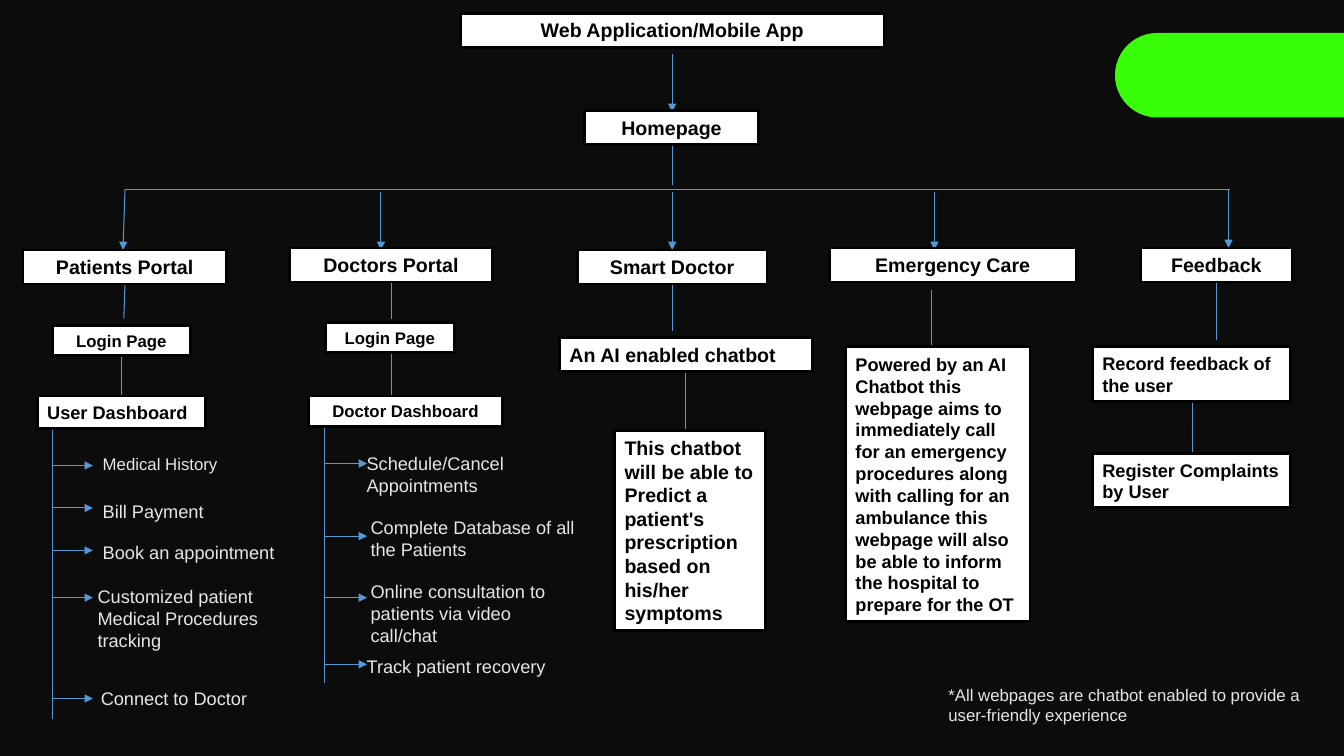
from itertools import pairwise
from typing import NamedTuple

from lxml.etree import SubElement
from pptx import Presentation
from pptx.dml.color import RGBColor
from pptx.enum.shapes import MSO_CONNECTOR as Connector, MSO_SHAPE as Shape
from pptx.enum.text import MSO_ANCHOR as Anchor, PP_ALIGN as Align
from pptx.oxml.ns import qn
from pptx.util import Cm, Pt

BACKGROUND = RGBColor(0x0C, 0x0C, 0x0C)
WHITE = RGBColor(0xFF, 0xFF, 0xFF)
BLACK = RGBColor(0x00, 0x00, 0x00)
PALE = RGBColor(0xE7, 0xE6, 0xE6)
BLUE = RGBColor(0x56, 0x98, 0xD3)
GREEN = RGBColor(0x38, 0xFF, 0x09)

CENTRE_X = 16.94
BUS_Y = 4.78
DROP_Y = 4.83


class Box(NamedTuple):
    text: str
    left: float
    top: float
    width: float
    height: float = 0.86
    size: int = 14
    align: Align = Align.CENTER


class Note(NamedTuple):
    text: str
    left: float
    top: float
    width: float
    height: float = 0.81
    size: int = 13
    wrap: bool = False


class Line(NamedTuple):
    x1: float
    y1: float
    x2: float
    y2: float
    arrow: bool = False


class Branch(NamedTuple):
    x: float
    top: float
    bottom: float
    arrow_start: float
    arrow_end: float
    rows: tuple[float, ...]


TITLE = Box("Web Application/Mobile App", 11.61, 0.33, 10.67)

BOXES = [
    Box("Homepage", 14.73, 2.79, 4.39),
    Box("Patients Portal", 0.58, 6.3, 5.13),
    Box("Doctors Portal", 7.29, 6.25, 5.13),
    Box("Smart Doctor", 14.55, 6.3, 4.78),
    Box("Emergency Care", 20.9, 6.25, 6.22),
    Box("Feedback", 28.75, 6.25, 3.81),
    Box("Login Page", 1.32, 8.2, 3.48, 0.76, 12),
    Box("User Dashboard", 0.94, 9.98, 4.24, 0.81, 13, Align.LEFT),
    Box("Login Page", 8.2, 8.13, 3.25, 0.76, 12),
    Box("Doctor Dashboard", 7.77, 9.98, 4.9, 0.76, 12),
    Box("An AI enabled chatbot", 14.1, 8.51, 6.38, align=Align.LEFT),
    Box("This chatbot will be able to Predict a patient's prescription "
        "based on his/her symptoms", 15.49, 10.85, 3.81, 5.03, align=Align.LEFT),
    Box("Powered by an AI Chatbot this webpage aims to immediately call for an "
        "emergency procedures along with calling for an ambulance this webpage "
        "will also be able to inform the hospital to prepare for the OT",
        21.31, 8.74, 4.65, 6.93, 13, Align.LEFT),
    Box("Record feedback of the user", 27.53, 8.74, 5, 1.37, 13, Align.LEFT),
    Box("Register Complaints by User", 27.53, 11.43, 5, 1.37, 13, Align.LEFT),
]

NOTES = [
    Note("Medical History", 2.34, 11.3, 3.66, 0.76, 12),
    Note("Bill Payment", 2.34, 12.47, 3.2),
    Note("Book an appointment", 2.34, 13.51, 5.44),
    Note("Customized patient\nMedical Procedures tracking",
         2.21, 14.63, 4.9, 2.49, wrap=True),
    Note("Connect to Doctor", 2.29, 17.2, 4.78),
    Note("Schedule/Cancel Appointments", 8.99, 11.28, 4.5, 1.37, wrap=True),
    Note("Complete Database of all\nthe Patients", 9.09, 12.88, 6.38, 1.37),
    Note("Online consultation to patients via video call/chat",
         9.09, 14.5, 5.72, 1.93, wrap=True),
    Note("Track patient recovery", 8.99, 16.38, 5.56),
    Note("*All webpages are chatbot enabled to provide a user-friendly experience",
         23.65, 17.12, 9.42, 1.27, 12, True),
]

LINES = [
    Line(CENTRE_X, 1.37, CENTRE_X, 2.82, True),
    Line(CENTRE_X, 3.66, CENTRE_X, 4.67),
    Line(3.15, BUS_Y, 3.1, 6.3, True),
    Line(30.96, BUS_Y, 30.96, 6.25, True),
    Line(3.15, 7.14, 3.12, 8.03),
    Line(3.05, 8.97, 3.05, 9.98),
    Line(9.86, 7.11, 9.86, 8.03),
    Line(9.86, 8.89, 9.86, 9.98),
    Line(CENTRE_X, 7.14, CENTRE_X, 8.33),
    Line(17.27, 9.37, 17.27, 10.8),
    Line(23.47, 7.32, 23.47, 8.74),
    Line(30.66, 7.11, 30.66, 8.56),
    Line(30.05, 10.08, 30.05, 11.43),
]
LINES += [Line(x, DROP_Y, x, 6.3, True) for x in (9.6, CENTRE_X, 23.55)]
LINES += [Line(start, BUS_Y, end, BUS_Y)
          for start, end in pairwise((3.15, 17.4, 24.3, 30.99))]

BRANCHES = [
    Branch(1.32, 10.8, 18.11, 1.32, 2.34, (11.73, 12.8, 13.87, 15.06, 17.6)),
    Branch(8.18, 10.74, 17.2, 8.2, 9.25, (11.68, 13.51, 15.06, 16.74)),
]


def write_text(shape, text: str, *, size: int, color: RGBColor, bold: bool = False,
               align: Align = Align.LEFT, anchor: Anchor = Anchor.TOP,
               wrap: bool = True) -> None:
    frame = shape.text_frame
    frame.text = text
    frame.word_wrap = wrap
    frame.vertical_anchor = anchor
    frame.margin_left = frame.margin_right = Cm(0.25)
    frame.margin_top = frame.margin_bottom = Cm(0.13)
    for paragraph in frame.paragraphs:
        paragraph.alignment = align
        font = paragraph.runs[0].font
        font.name = "Arial"
        font.size = Pt(size)
        font.bold = bold
        font.color.rgb = color


def format_box(shape, box: Box) -> None:
    shape.left, shape.top = Cm(box.left), Cm(box.top)
    shape.width, shape.height = Cm(box.width), Cm(box.height)
    shape.fill.solid()
    shape.fill.fore_color.rgb = WHITE
    shape.line.color.rgb = BLACK
    shape.line.width = Pt(2)
    write_text(shape, box.text, size=box.size, color=BLACK, bold=True,
               align=box.align, anchor=Anchor.MIDDLE)


def draw_box(slide, box: Box) -> None:
    shape = slide.shapes.add_shape(Shape.RECTANGLE, 0, 0, Cm(1), Cm(1))
    shape.shadow.inherit = False
    format_box(shape, box)


def draw_note(slide, note: Note) -> None:
    shape = slide.shapes.add_textbox(
        Cm(note.left), Cm(note.top), Cm(note.width), Cm(note.height))
    write_text(shape, note.text, size=note.size, color=PALE, wrap=note.wrap)


def draw_line(slide, line: Line) -> None:
    connector = slide.shapes.add_connector(
        Connector.STRAIGHT, Cm(line.x1), Cm(line.y1), Cm(line.x2), Cm(line.y2))
    connector.line.color.rgb = BLUE
    connector.line.width = Pt(0.75)
    if line.arrow:
        SubElement(connector.line._get_or_add_ln(), qn("a:tailEnd"), type="triangle")
    SubElement(connector._element.spPr, qn("a:effectLst"))


def draw_branch(slide, branch: Branch) -> None:
    draw_line(slide, Line(branch.x, branch.top, branch.x, branch.bottom))
    for y in branch.rows:
        draw_line(slide, Line(branch.arrow_start, y, branch.arrow_end, y, True))


def draw_green_tab(slide) -> None:
    tab = slide.shapes.add_shape(
        Shape.ROUND_2_SAME_RECTANGLE, Cm(29.92), Cm(-0.99), Cm(2.13), Cm(5.77))
    tab.rotation = 270
    tab.adjustments[0] = 0.5
    tab.adjustments[1] = 0
    tab.shadow.inherit = False
    tab.fill.solid()
    tab.fill.fore_color.rgb = GREEN
    tab.line.fill.background()


def main() -> None:
    presentation = Presentation()
    presentation.slide_width, presentation.slide_height = Cm(33.87), Cm(19.05)
    slide = presentation.slides.add_slide(presentation.slide_layouts[5])
    slide.background.fill.solid()
    slide.background.fill.fore_color.rgb = BACKGROUND
    format_box(slide.shapes.title, TITLE)
    for line in LINES:
        draw_line(slide, line)
    for branch in BRANCHES:
        draw_branch(slide, branch)
    for box in BOXES:
        draw_box(slide, box)
    for note in NOTES:
        draw_note(slide, note)
    draw_green_tab(slide)
    presentation.save("out.pptx")


if __name__ == "__main__":
    main()
